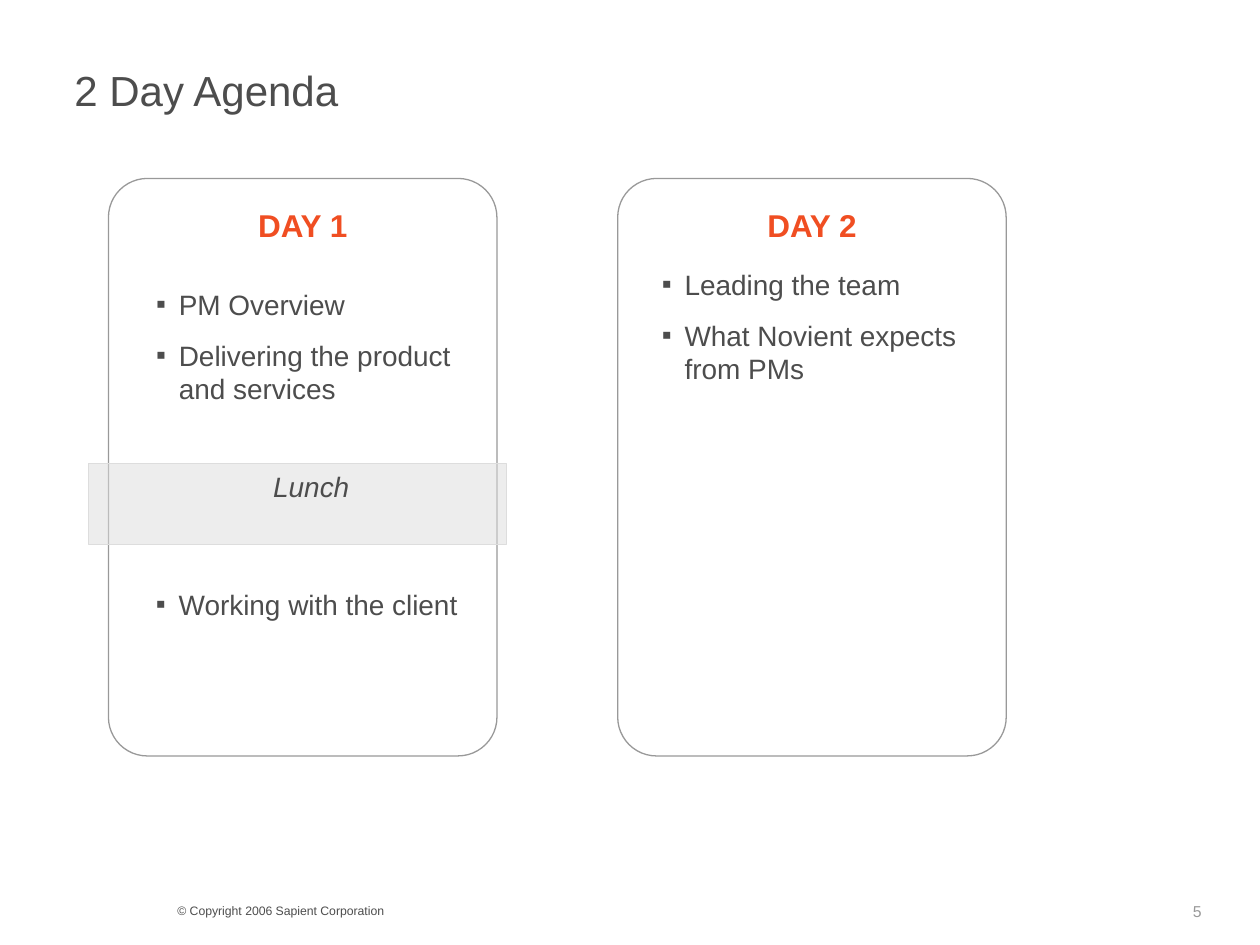
from dataclasses import dataclass
from lxml.etree import SubElement
from pptx import Presentation
from pptx.dml.color import RGBColor
from pptx.enum.shapes import MSO_SHAPE
from pptx.enum.text import MSO_ANCHOR, MSO_AUTO_SIZE, PP_ALIGN
from pptx.oxml.ns import qn
from pptx.util import Pt


@dataclass(frozen=True)
class Theme:
    font: str = "Arial"
    ink: str = "4D4D4D"
    gray: str = "999999"
    band: str = "DDDDDD"
    accent: str = "F04E22"
    title: int = 24
    head: int = 18
    body: int = 16
    page: int = 9
    note: int = 7


def mark(para, color, font):
    props = para._p.get_or_add_pPr()
    tint = SubElement(props, qn("a:buClr"))
    SubElement(tint, qn("a:srgbClr"), val=color)
    SubElement(props, qn("a:buFont"), typeface=font)
    SubElement(props, qn("a:buChar"), char="▪")


def write(frame, text, *, font, size, color, bold=False, italic=False,
          align=PP_ALIGN.LEFT, anchor=MSO_ANCHOR.TOP, wrap=True,
          bullet=False, left=0, hang=0, gap=0):
    frame.auto_size = MSO_AUTO_SIZE.NONE
    frame.word_wrap = wrap
    frame.vertical_anchor = anchor
    lines = [text] if isinstance(text, str) else text
    for n, line in enumerate(lines):
        para = frame.add_paragraph() if n else frame.paragraphs[0]
        props = para._p.get_or_add_pPr()
        props.set("marL", str(Pt(left)))
        props.set("indent", str(Pt(-hang)))
        if bullet:
            mark(para, color, font)
        para.alignment = align
        para.space_before = Pt(gap if n else 0)
        run = para.add_run()
        run.text = line
        run.font.name = font
        run.font.size = Pt(size)
        run.font.bold = bold
        run.font.italic = italic
        run.font.color.rgb = RGBColor.from_string(color)


class Deck:
    def __init__(self, theme):
        self.theme = theme
        self.show = Presentation()
        self.show.slide_width, self.show.slide_height = Pt(720), Pt(540)
        self.slide = self.show.slides.add_slide(self.show.slide_layouts[4])
        for item in list(self.slide.placeholders):
            if item.placeholder_format.idx > 4:
                item._element.getparent().remove(item._element)

    def style(self, **extra):
        base = dict(font=self.theme.font, size=self.theme.body,
                    color=self.theme.ink)
        return base | extra

    def holder(self, idx, box):
        item = self.slide.placeholders[idx]
        item.left, item.top, item.width, item.height = map(Pt, box)
        return item.text_frame

    def text(self, box, text, **extra):
        item = self.slide.shapes.add_textbox(*map(Pt, box))
        write(item.text_frame, text, **self.style(**extra))

    def title(self, box, text):
        write(self.holder(0, box), text, **self.style(
            size=self.theme.title, anchor=MSO_ANCHOR.MIDDLE))

    def head(self, idx, box, text):
        write(self.holder(idx, box), text, **self.style(
            size=self.theme.head, color=self.theme.accent, bold=True,
            align=PP_ALIGN.CENTER))

    def list(self, box, lines, idx=None):
        form = dict(bullet=True, left=13, hang=13, gap=10)
        if idx is None:
            self.text(box, lines, **form)
        else:
            write(self.holder(idx, box), lines, **self.style(**form))

    def shape(self, kind, box, line):
        item = self.slide.shapes.add_shape(kind, *map(Pt, box))
        item.shadow.inherit = False
        item.fill.background()
        item.line.color.rgb = RGBColor.from_string(line)
        item.line.width = Pt(0.75)
        return item

    def card(self, box):
        item = self.shape(MSO_SHAPE.ROUNDED_RECTANGLE, box, self.theme.gray)
        item.adjustments[0] = 0.1

    def band(self, box, text, left):
        item = self.shape(MSO_SHAPE.RECTANGLE, box, self.theme.band)
        item.fill.solid()
        item.fill.fore_color.rgb = RGBColor.from_string(self.theme.band)
        tint = item._element.spPr.find(qn("a:solidFill"))[0]
        SubElement(tint, qn("a:alpha"), val="50000")
        write(item.text_frame, text, **self.style(italic=True, left=left))


def main():
    theme = Theme()
    deck = Deck(theme)
    deck.title((35.3, 31.7, 648.7, 39.6), "2 Day Agenda")
    days = [
        ("DAY 1", 82, 160.5,
         ["PM Overview", "Delivering the product and services"]),
        ("DAY 2", 371, 149,
         ["Leading the team", "What Novient expects from PMs"]),
    ]
    for n, (name, left, top, lines) in enumerate(days):
        edge = 62 + 291 * n
        deck.card((edge, 102, 222, 330))
        deck.head(1 + 2 * n, (edge, 114, 222, 29.5), name)
        deck.list((left, top, 204, 75), lines, idx=2 + 2 * n)
    deck.band((50.5, 265, 239, 46), "Lunch", left=98.5)
    deck.list((82, 332, 204, 55.5), ["Working with the client"])
    deck.text((94.3, 512.6, 288, 16), "© Copyright 2006 Sapient Corporation",
              size=theme.note)
    deck.text((674.6, 511.9, 54, 17.3), "5", size=theme.page,
              color=theme.gray, wrap=False)
    deck.show.save("out.pptx")


if __name__ == "__main__":
    main()
